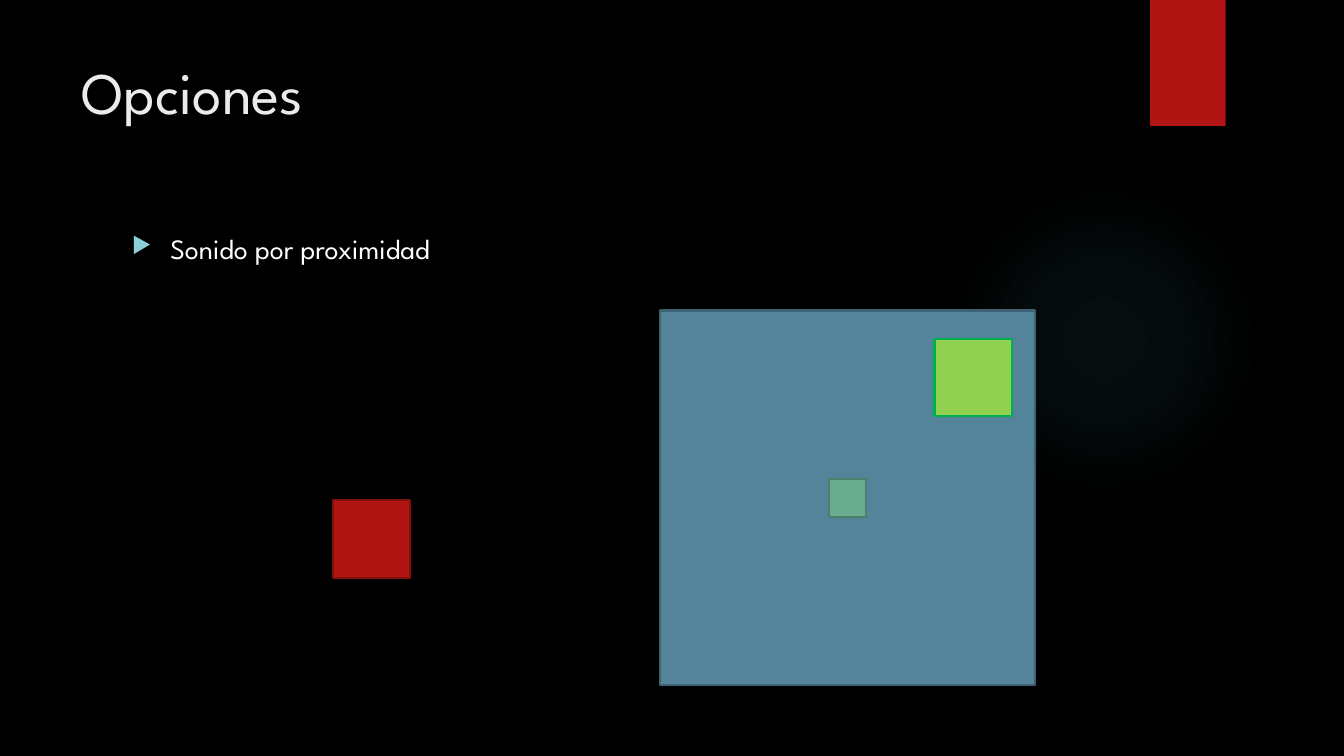
"""Builds the options slide about sound by proximity."""
from typing import NamedTuple, Optional

from lxml.etree import SubElement
from pptx import Presentation
from pptx.dml.color import RGBColor
from pptx.enum.shapes import MSO_SHAPE as Shape
from pptx.enum.text import MSO_ANCHOR as Anchor, MSO_AUTO_SIZE as AutoSize, PP_ALIGN as Align
from pptx.oxml import parse_xml
from pptx.oxml.ns import nsdecls, qn
from pptx.util import Inches, Pt

WIDTH, HEIGHT = Inches(13.333), Inches(7.5)
FONT = "League Spartan"
TITLE_LAYOUT = 5


class Area(NamedTuple):
    """Position and size in percent of the slide."""
    left: float
    top: float
    width: float
    height: float


class Block(NamedTuple):
    """A filled rectangle with an optional outline."""
    area: Area
    fill: str
    line: Optional[str] = None


def square(left: float, top: float, side: float) -> Area:
    """Return a square whose side is a percentage of the slide's width."""
    return Area(left, top, side, side * WIDTH / HEIGHT)


def centred(outer: Area, side: float) -> Area:
    """Return a square in the middle of another area."""
    inner = square(0, 0, side)
    return inner._replace(left=outer.left + (outer.width - inner.width) / 2,
                          top=outer.top + (outer.height - inner.height) / 2)


ROOM = square(49.13, 41.07, 27.9)
GLOW = square(70.58, 24.4, 23.1)
TITLE = Area(5.32, 6.67, 77.18, 20.4)
BODY = Area(9.08, 30, 73.35, 6.4)
GLOW_STOPS = ((0, 7), (36, 6), (69, 0))
RIBBON = Block(Area(85.58, 0, 5.62, 16.67), "B01513")
BLOCKS = (
    Block(square(24.75, 66.13, 5.78), "B01513", "82100E"),
    Block(ROOM, "54849A", "3E6272"),
    Block(centred(ROOM, 2.78), "6AAC90", "4E7F6B"),
    Block(square(69.53, 44.8, 5.78), "92D050", "00B050"),
)


def colour(value: str) -> RGBColor:
    """Turn a hex string into a colour."""
    return RGBColor.from_string(value)


def frame(area: Area) -> tuple:
    """Turn an area into left, top, width and height."""
    return tuple(round(share * full / 100)
                 for share, full in zip(area, (WIDTH, HEIGHT, WIDTH, HEIGHT)))


def draw_block(page, block: Block) -> None:
    """Draw a rectangle."""
    box = page.shapes.add_shape(Shape.RECTANGLE, *frame(block.area))
    box.shadow.inherit = False
    box.fill.solid()
    box.fill.fore_color.rgb = colour(block.fill)
    if block.line:
        box.line.color.rgb = colour(block.line)
        box.line.width = Pt(1.5)
    else:
        box.line.fill.background()


def draw_glow(page) -> None:
    """Draw the faint round glow."""
    glow = page.shapes.add_shape(Shape.OVAL, *frame(GLOW))
    glow.shadow.inherit = False
    glow.line.fill.background()
    stops = "".join(
        f'<a:gs pos="{place * 1000}"><a:srgbClr val="50B9C1">'
        f'<a:alpha val="{alpha * 1000}"/></a:srgbClr></a:gs>'
        for place, alpha in GLOW_STOPS)
    gradient = parse_xml(
        f'<a:gradFill {nsdecls("a")} rotWithShape="1"><a:gsLst>{stops}</a:gsLst>'
        '<a:path path="circle"><a:fillToRect l="50000" t="50000" r="50000" b="50000"/>'
        '</a:path></a:gradFill>')
    glow.element.spPr.find(qn("a:prstGeom")).addnext(gradient)


def write(box, text: str, size: float, value: str) -> None:
    """Put one line of left-aligned text at the top of a box."""
    text_frame = box.text_frame
    text_frame.text = text
    text_frame.word_wrap = True
    text_frame.auto_size = AutoSize.NONE
    text_frame.vertical_anchor = Anchor.TOP
    para = text_frame.paragraphs[0]
    para.alignment = Align.LEFT
    font = para.runs[0].font
    font.name, font.size = FONT, Pt(size)
    font.color.rgb = colour(value)


def add_bullet(para) -> None:
    """Give a paragraph a triangle bullet with a hanging indent."""
    properties = para._p.get_or_add_pPr()
    properties.set("marL", str(Inches(0.38)))
    properties.set("indent", str(-Inches(0.38)))
    tint = SubElement(properties, qn("a:buClr"))
    SubElement(tint, qn("a:srgbClr"), val="8AD0D6")
    SubElement(properties, qn("a:buSzPct"), val="80000")
    SubElement(properties, qn("a:buChar"), char="▶")


def main() -> None:
    """Build and save the deck."""
    deck = Presentation()
    deck.slide_width, deck.slide_height = WIDTH, HEIGHT
    page = deck.slides.add_slide(deck.slide_layouts[TITLE_LAYOUT])
    page.background.fill.solid()
    page.background.fill.fore_color.rgb = colour("000000")
    draw_glow(page)
    draw_block(page, RIBBON)
    title = page.shapes.title
    title.left, title.top, title.width, title.height = frame(TITLE)
    write(title, "Opciones", 42, "EBEBEB")
    body = page.shapes.add_textbox(*frame(BODY))
    write(body, "Sonido por proximidad", 20, "FFFFFF")
    add_bullet(body.text_frame.paragraphs[0])
    for block in BLOCKS:
        draw_block(page, block)
    deck.save("out.pptx")


if __name__ == "__main__":
    main()
